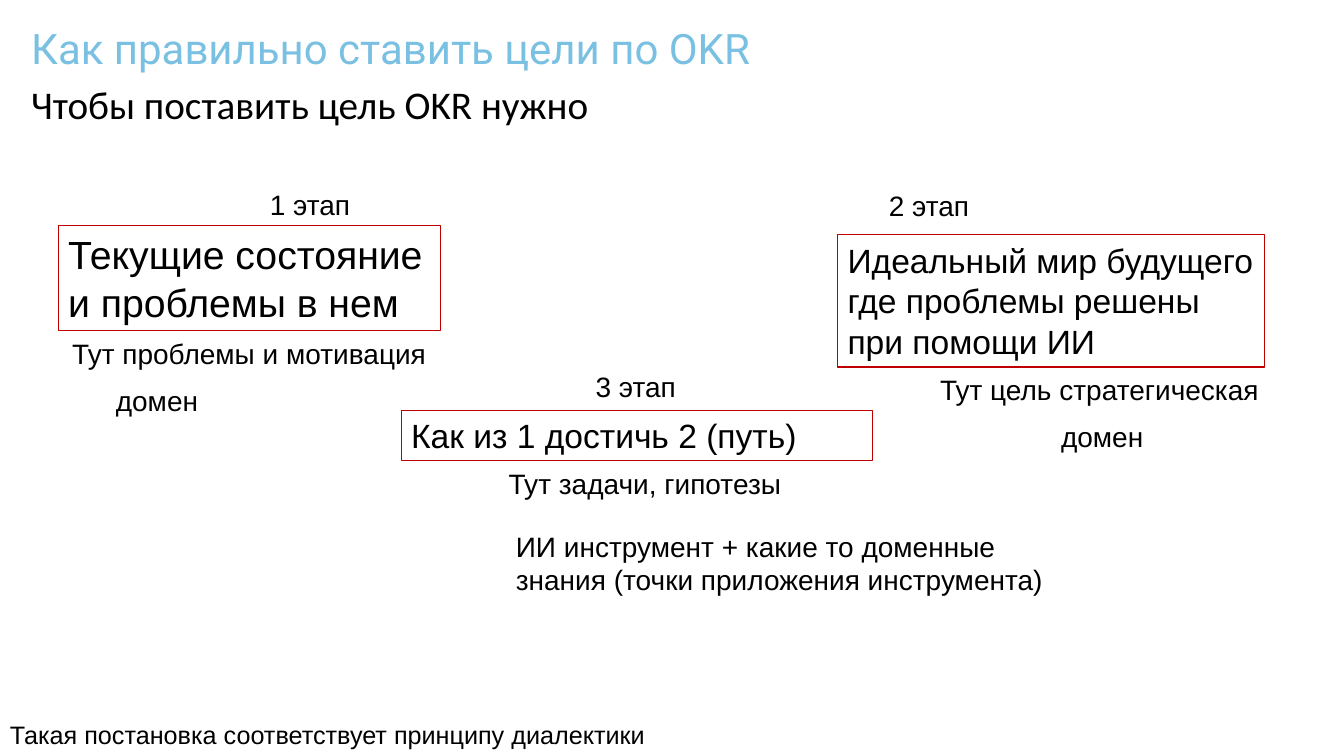
from dataclasses import dataclass

from lxml.etree import SubElement
from pptx import Presentation
from pptx.dml.color import RGBColor
from pptx.enum.shapes import MSO_SHAPE as Shape
from pptx.enum.text import MSO_ANCHOR as Anchor, MSO_AUTO_SIZE as AutoSize, PP_ALIGN as Align
from pptx.oxml.ns import qn
from pptx.util import Cm, Pt


@dataclass(frozen=True)
class Theme:
    heading_font: str = "Roboto"
    body_font: str = "Calibri"
    text_font: str = "Arial"
    accent: str = "79C0E2"
    ink: str = "000000"
    frame: str = "C00000"
    heading_size: int = 30
    lead_size: int = 28
    box_size: int = 24
    caption_size: int = 20
    footnote_size: int = 18


class OkrSlide:
    def __init__(self, deck, theme):
        self.theme = theme
        self.slide = deck.slides.add_slide(deck.slide_layouts[1])

    def set_text(self, holder, text, size, font=None, color=None):
        frame = holder.text_frame
        frame.text = text
        paragraph = frame.paragraphs[0]
        paragraph.alignment = Align.LEFT
        style = paragraph.runs[0].font
        style.name = font or self.theme.text_font
        style.size = Pt(size)
        style.color.rgb = RGBColor.from_string(color or self.theme.ink)
        return paragraph

    def place(self, placeholder, area, anchor):
        placeholder.left, placeholder.top, placeholder.width, placeholder.height = map(Cm, area)
        placeholder.text_frame.auto_size = AutoSize.NONE
        placeholder.text_frame.vertical_anchor = anchor

    def title(self, text, area):
        heading = self.slide.shapes.title
        self.place(heading, area, Anchor.MIDDLE)
        theme = self.theme
        paragraph = self.set_text(heading, text, theme.heading_size, theme.heading_font, theme.accent)
        paragraph.line_spacing = 0.9

    def body(self, text, area):
        lead = self.slide.placeholders[1]
        self.place(lead, area, Anchor.TOP)
        paragraph = self.set_text(lead, text, self.theme.lead_size, self.theme.body_font)
        paragraph.line_spacing = 0.9
        paragraph.space_before = Pt(10)
        properties = paragraph._p.get_or_add_pPr()
        properties.set("marL", "0")
        properties.set("indent", "0")
        SubElement(properties, qn("a:buNone"))

    def box(self, text, area, size):
        stage = self.slide.shapes.add_shape(Shape.RECTANGLE, *map(Cm, area))
        stage.shadow.inherit = False
        stage.fill.background()
        stage.line.color.rgb = RGBColor.from_string(self.theme.frame)
        stage.line.width = Pt(0.75)
        stage.text_frame.word_wrap = True
        stage.text_frame.vertical_anchor = Anchor.TOP
        self.set_text(stage, text, size)

    def label(self, text, left, top, width=2.59, height=1.12, size=None, wrap=False):
        caption = self.slide.shapes.add_textbox(*map(Cm, (left, top, width, height)))
        caption.text_frame.word_wrap = wrap
        self.set_text(caption, text, size or self.theme.caption_size)


def main():
    deck = Presentation()
    deck.slide_width, deck.slide_height = Cm(33.87), Cm(19.05)
    theme = Theme()
    okr = OkrSlide(deck, theme)

    okr.title("Как правильно ставить цели по OKR", (0.53, 0.38, 27, 1.8))
    okr.body("Чтобы поставить цель OKR нужно", (0.53, 2.03, 32.31, 16.41))

    stages = [
        ("Текущие состояние и проблемы в нем", (1.47, 5.69, 9.63, 2.64), theme.lead_size),
        ("Идеальный мир будущего где проблемы решены при помощи ИИ",
         (21.11, 5.92, 10.77, 3.33), theme.box_size),
        ("Как из 1 достичь 2 (путь)", (10.11, 10.34, 11.89, 1.27), theme.box_size),
    ]
    for stage in stages:
        okr.box(*stage)

    for number, (left, top) in enumerate([(6.55, 4.6), (22.15, 4.62), (14.76, 9.19)], 1):
        okr.label(f"{number} этап", left, top)

    okr.label("Тут проблемы и мотивация", 1.57, 8.36, 9.6)
    okr.label("Тут цель стратегическая", 23.44, 9.25, 8.69)
    okr.label("Тут задачи, гипотезы", 12.57, 11.63, 7.52)
    for left, top in [(2.67, 9.53), (26.49, 10.44)]:
        okr.label("домен", left, top)

    okr.label("ИИ инструмент + какие то доменные знания (точки приложения инструмента)",
              12.75, 13.21, 13.97, 1.96, wrap=True)
    okr.label("Такая постановка соответствует принципу диалектики",
              0, 18.01, 23.42, 1.02, theme.footnote_size, wrap=True)

    deck.save("out.pptx")


if __name__ == "__main__":
    main()
